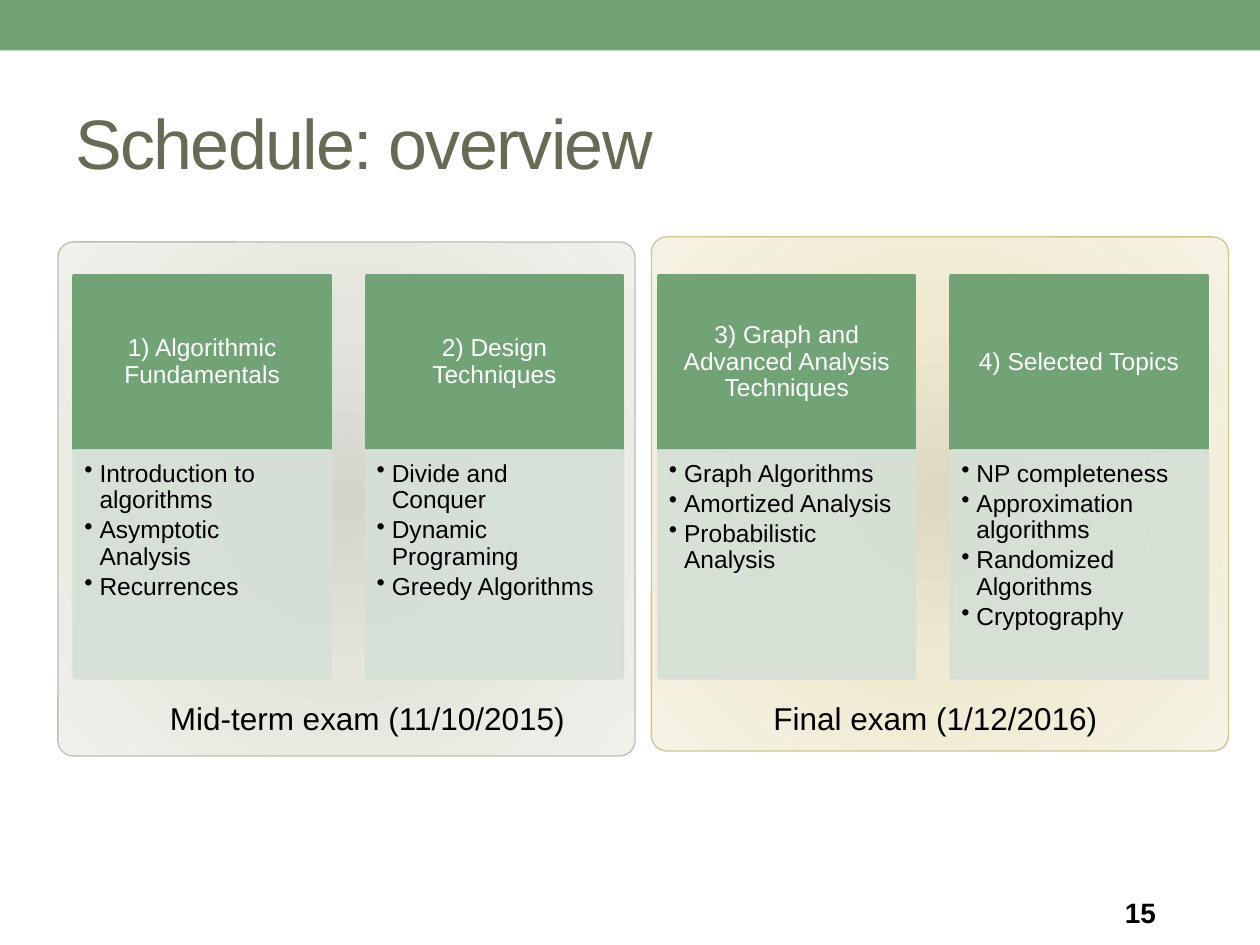
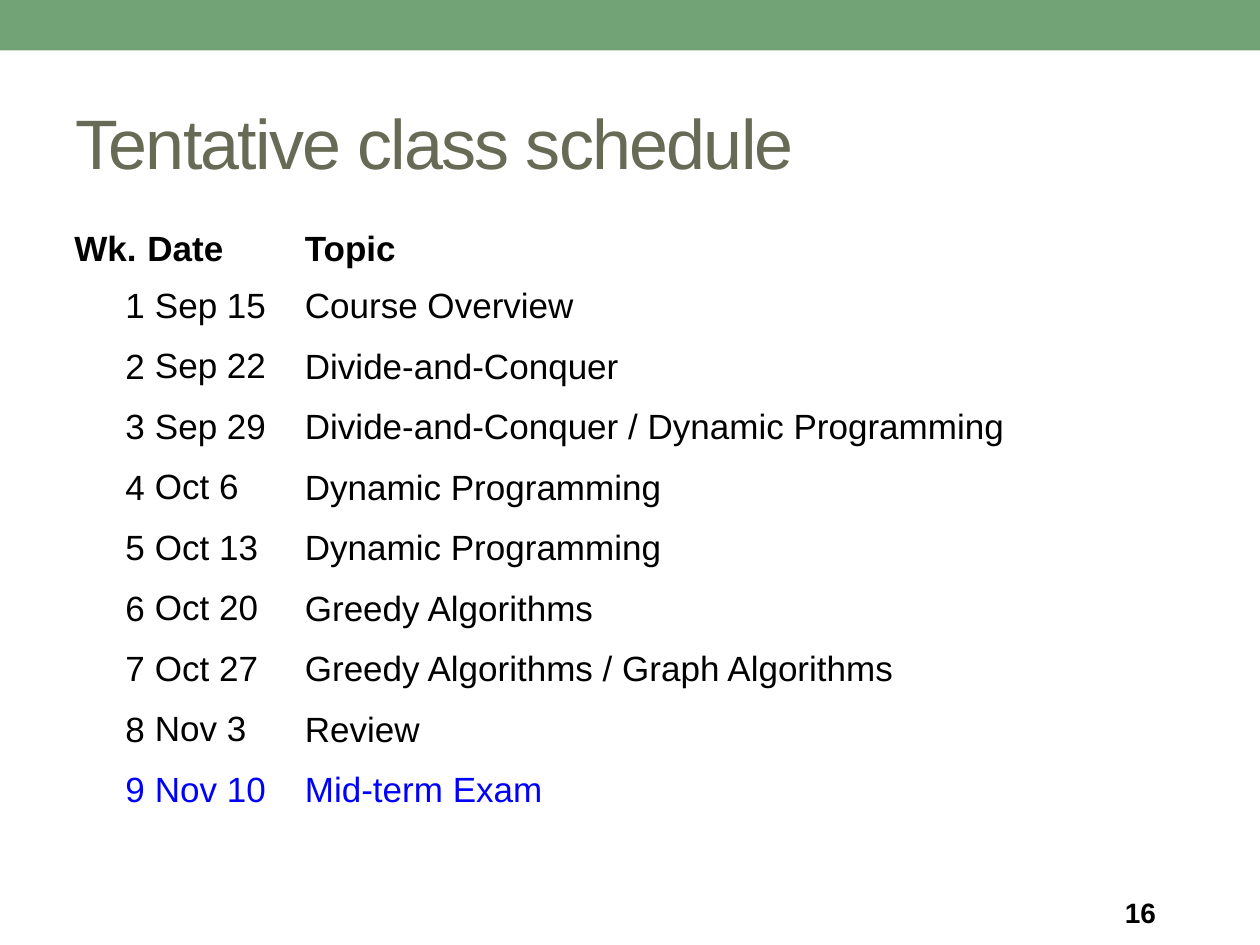
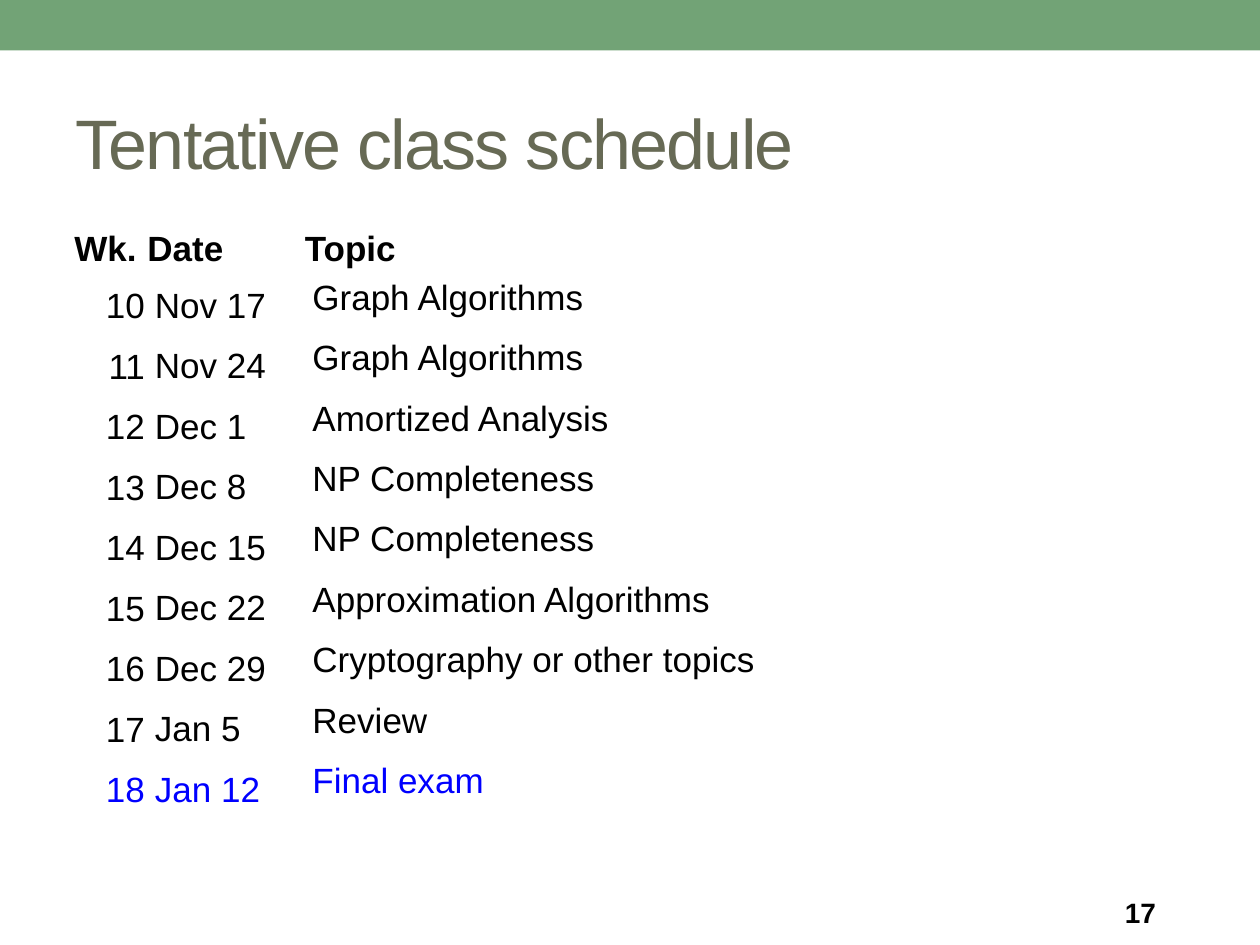
from pptx import Presentation
from pptx.dml.color import RGBColor
from pptx.enum.shapes import MSO_SHAPE
from pptx.enum.text import MSO_ANCHOR, MSO_AUTO_SIZE, PP_ALIGN
from pptx.oxml import parse_xml
from pptx.oxml.ns import nsdecls, qn
from pptx.util import Inches, Pt

RECTANGLE, ROUNDED = MSO_SHAPE.RECTANGLE, MSO_SHAPE.ROUNDED_RECTANGLE
TOP, MIDDLE = MSO_ANCHOR.TOP, MSO_ANCHOR.MIDDLE
LEFT, CENTER, RIGHT = PP_ALIGN.LEFT, PP_ALIGN.CENTER, PP_ALIGN.RIGHT

FONT = "Arial"
COLORS = {
    "green": "72A376",
    "pale_green": "D5E0D6",
    "title": "676A55",
    "text": "000000",
    "white": "FFFFFF",
    "exam": "0000FF",
}
# Each panel: border, then gradient colours from the centre outwards
GRAY_PANEL = ("C0BEAF", ("D5D4CD", "E5E4DC", "F1F0EB"))
TAN_PANEL = ("CEC597", ("DDD8C2", "EEE9D0", "F6F3E5"))
GRADIENT_STOPS = (0, 45, 100)

NARROW_MARGINS = (0.01, 0.01, 0.01, 0)
WIDE_MARGINS = (0.07, 0.02, 0.07, 0.02)
BOX_MARGINS = (0.1, 0.05, 0.1, 0.05)


def rgb(name):
    return RGBColor.from_string(COLORS.get(name, name))


def set_margins(target, margins):
    """Set left, top, right and bottom margins of a text frame or a cell."""
    (target.margin_left, target.margin_top,
     target.margin_right, target.margin_bottom) = map(Inches, margins)


class Deck:
    """Holds the presentation, its style and the current slide."""

    def __init__(self):
        self.presentation = Presentation()
        self.presentation.slide_width = Inches(10)
        self.presentation.slide_height = Inches(7.5)
        self.slide = None

    def add_slide(self, title, number):
        layout = self.presentation.slide_layouts[5]
        self.slide = self.presentation.slides.add_slide(layout)
        self.box(RECTANGLE, 0, 0, 10, 0.4, "green")
        self.title(title)
        self.text(str(number), 8.83, 7.06, 1.17, 0.36, 16, bold=True, anchor=MIDDLE)

    def style(self, paragraph, size, color="text", bold=False, align=LEFT):
        paragraph.alignment = align
        font = paragraph.font
        font.name, font.size, font.bold = FONT, Pt(size), bold
        font.color.rgb = rgb(color)

    def title(self, words):
        title = self.slide.shapes.title
        title.left, title.top = Inches(0.5), Inches(0.58)
        title.width, title.height = Inches(9), Inches(1.08)
        frame = title.text_frame
        frame.auto_size = MSO_AUTO_SIZE.NONE
        frame.vertical_anchor = MIDDLE
        set_margins(frame, BOX_MARGINS)
        frame.text = words
        self.style(frame.paragraphs[0], 40, "title")
        frame.paragraphs[0].runs[0].font._element.set("spc", "-100")

    def text(self, words, left, top, width, height, size, bold=False,
             anchor=TOP, wrap=True):
        box = self.slide.shapes.add_textbox(
            Inches(left), Inches(top), Inches(width), Inches(height))
        frame = box.text_frame
        frame.word_wrap = wrap
        frame.vertical_anchor = anchor
        frame.text = words
        self.style(frame.paragraphs[0], size, bold=bold)

    def box(self, kind, left, top, width, height, fill, line=None, line_width=2.08):
        shape = self.slide.shapes.add_shape(
            kind, Inches(left), Inches(top), Inches(width), Inches(height))
        shape.shadow.inherit = False
        shape.fill.solid()
        shape.fill.fore_color.rgb = rgb(fill)
        if line:
            shape.line.color.rgb = rgb(line)
            shape.line.width = Pt(line_width)
        else:
            shape.line.fill.background()
        return shape

    def panel(self, left, top, look):
        border, shades = look
        shape = self.box(ROUNDED, left, top, 4.58, 4.08, shades[0], border, 0.75)
        shape.adjustments[0] = 0.03
        stops = "".join(
            f'<a:gs pos="{stop * 1000}"><a:srgbClr val="{shade}"/></a:gs>'
            for stop, shade in zip(GRADIENT_STOPS, shades))
        gradient = parse_xml(
            f'<a:gradFill {nsdecls("a")} rotWithShape="1"><a:gsLst>{stops}</a:gsLst>'
            '<a:path path="circle"><a:fillToRect l="100000" t="100000" '
            'r="100000" b="100000"/></a:path></a:gradFill>')
        properties = shape._element.spPr
        properties.replace(properties.find(qn("a:solidFill")), gradient)

    def fill_text(self, shape, lines, color, align, anchor, margins, bullets=False):
        frame = shape.text_frame
        frame.word_wrap = True
        frame.vertical_anchor = anchor
        set_margins(frame, margins)
        frame.text = "\n".join(lines)
        for paragraph in frame.paragraphs:
            paragraph.line_spacing = 0.9
            paragraph.space_after = Pt(2)
            if bullets:
                properties = paragraph._p.get_or_add_pPr()
                properties.set("marL", str(Inches(0.12)))
                properties.set("indent", str(Inches(-0.12)))
                properties.append(parse_xml(f'<a:buChar {nsdecls("a")} char="•"/>'))
            self.style(paragraph, 14, color, align=align)

    def topic_column(self, left, heading, topics):
        header = self.box(RECTANGLE, left, 2.19, 2.03, 1.37, "green", "green")
        self.fill_text(header, [heading], "white", CENTER, MIDDLE,
                       (0.11, 0.06, 0.11, 0.06))
        body = self.box(RECTANGLE, left, 3.58, 2.03, 1.8, "pale_green", "pale_green")
        for color in body._element.spPr.iter(qn("a:srgbClr")):
            color.append(parse_xml(f'<a:alpha {nsdecls("a")} val="90000"/>'))
        self.fill_text(body, topics, "text", LEFT, TOP,
                       (0.08, 0.08, 0.11, 0.12), bullets=True)

    def cell(self, cell, words, margins, anchor=MIDDLE, **look):
        cell.fill.background()
        cell.vertical_anchor = anchor
        set_margins(cell, margins)
        cell.text = words
        self.style(cell.text_frame.paragraphs[0], 20, **look)

    def schedule(self, first_week, sessions, topic_margins, topic_anchor):
        """Number the weeks in order; the last session is the exam."""
        frame = self.slide.shapes.add_table(
            len(sessions) + 1, 3, Inches(0.58), Inches(1.75), Inches(8.5), Inches(4.73))
        table = frame.table
        table.first_row = table.horz_banding = False
        for column, width in zip(table.columns, (0.58, 1.25, 6.67)):
            column.width = Inches(width)
        for index, row in enumerate(table.rows):
            row.height = Inches(0.48 if index else 0.44)
        for column, heading in enumerate(("Wk.", "Date", "Topic")):
            self.cell(table.cell(0, column), heading, NARROW_MARGINS, bold=True)
        for row, (date, topic) in enumerate(sessions, 1):
            color = "exam" if row == len(sessions) else "text"
            week = str(first_week + row - 1)
            self.cell(table.cell(row, 0), week, NARROW_MARGINS, color=color, align=RIGHT)
            self.cell(table.cell(row, 1), date, WIDE_MARGINS, color=color)
            self.cell(table.cell(row, 2), topic, topic_margins, topic_anchor, color=color)


UNITS = [
    ("1) Algorithmic Fundamentals",
     ["Introduction to algorithms", "Asymptotic Analysis", "Recurrences"]),
    ("2) Design Techniques",
     ["Divide and Conquer", "Dynamic Programing", "Greedy Algorithms"]),
    ("3) Graph and Advanced Analysis Techniques",
     ["Graph Algorithms", "Amortized Analysis", "Probabilistic Analysis"]),
    ("4) Selected Topics",
     ["NP completeness", "Approximation algorithms", "Randomized Algorithms",
      "Cryptography"]),
]
FIRST_HALF = [
    ("Sep 15", "Course Overview"),
    ("Sep 22", "Divide-and-Conquer"),
    ("Sep 29", "Divide-and-Conquer / Dynamic Programming"),
    ("Oct 6", "Dynamic Programming"),
    ("Oct 13", "Dynamic Programming"),
    ("Oct 20", "Greedy Algorithms"),
    ("Oct 27", "Greedy Algorithms / Graph Algorithms"),
    ("Nov 3", "Review"),
    ("Nov 10", "Mid-term Exam"),
]
SECOND_HALF = [
    ("Nov 17", "Graph Algorithms"),
    ("Nov 24", "Graph Algorithms"),
    ("Dec 1", "Amortized Analysis"),
    ("Dec 8", "NP Completeness"),
    ("Dec 15", "NP Completeness"),
    ("Dec 22", "Approximation Algorithms"),
    ("Dec 29", "Cryptography or other topics"),
    ("Jan 5", "Review"),
    ("Jan 12", "Final exam"),
]


def main():
    deck = Deck()

    # Overview: two exam panels behind four topic columns
    deck.add_slide("Schedule: overview", 15)
    deck.panel(0.46, 1.92, GRAY_PANEL)
    deck.text("Mid-term exam (11/10/2015)", 1.25, 5.5, 3.37, 0.4, 18, wrap=False)
    deck.panel(5.17, 1.88, TAN_PANEL)
    deck.text("Final exam (1/12/2016)", 6.04, 5.5, 2.8, 0.4, 18, wrap=False)
    for index, (heading, topics) in enumerate(UNITS):
        deck.topic_column(0.59 + 2.32 * index, heading, topics)

    # Weekly schedule up to the mid-term exam
    deck.add_slide("Tentative class schedule", 16)
    deck.schedule(1, FIRST_HALF, NARROW_MARGINS, MIDDLE)

    # Weekly schedule up to the final exam
    deck.add_slide("Tentative class schedule", 17)
    deck.schedule(10, SECOND_HALF, WIDE_MARGINS, TOP)

    deck.presentation.save("out.pptx")


if __name__ == "__main__":
    main()
